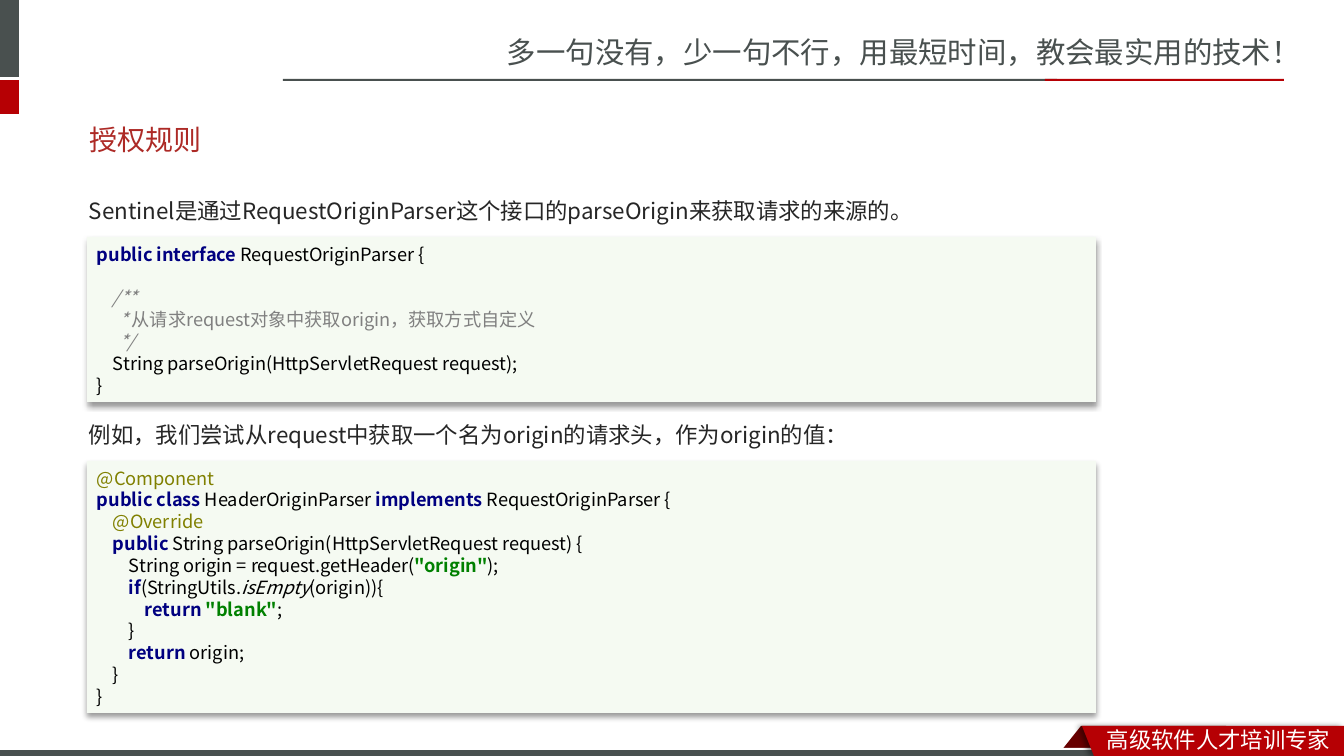
from lxml.etree import SubElement
from pptx import Presentation
from pptx.dml.color import RGBColor
from pptx.enum.shapes import MSO_SHAPE as Preset
from pptx.enum.text import MSO_ANCHOR as Anchor, PP_ALIGN as Align
from pptx.oxml.ns import qn
from pptx.util import Emu, Pt

FONT = "Noto Sans CJK SC"
WHITE = RGBColor(0xFF, 0xFF, 0xFF)
BLACK = RGBColor(0, 0, 0)
SLATE = RGBColor(0x49, 0x50, 0x4F)
RED = RGBColor(0xB6, 0x00, 0x04)
DARK_RED = RGBColor(0x68, 0x00, 0x00)
TITLE_RED = RGBColor(0xAD, 0x2A, 0x26)
INK = RGBColor(0x26, 0x26, 0x26)
CODE_GREEN = RGBColor(0xF5, 0xFA, 0xF2)
NAVY = RGBColor(0x00, 0x00, 0x80)
GRAY = RGBColor(0x80, 0x80, 0x80)
OLIVE = RGBColor(0x80, 0x80, 0x00)
GREEN = RGBColor(0x00, 0x80, 0x00)

CODE_STYLES = {
    "plain": (BLACK, False, False),
    "keyword": (NAVY, True, False),
    "string": (GREEN, True, False),
    "annotation": (OLIVE, False, False),
    "comment": (GRAY, False, False),
    "mark": (GRAY, False, True),
    "static": (BLACK, False, True),
}
INDENT = 16
LINE_PITCH = 15.6

INTERFACE_CODE = [
    (0, [("keyword", "public interface "), ("plain", "RequestOriginParser {")]),
    (1, [("mark", "/**")]),
    (1.4, [("mark", "* "), ("comment", "从请求request对象中获取origin，获取方式自定义")]),
    (1.4, [("mark", "*/")]),
    (1, [("plain", "String parseOrigin(HttpServletRequest request);")]),
    (0, [("plain", "}")]),
]
CLASS_CODE = [
    (0, [("annotation", "@Component")]),
    (0, [("keyword", "public class "), ("plain", "HeaderOriginParser "),
         ("keyword", "implements "), ("plain", "RequestOriginParser {")]),
    (1, [("annotation", "@Override")]),
    (1, [("keyword", "public "),
         ("plain", "String parseOrigin(HttpServletRequest request) {")]),
    (2, [("plain", "String origin = request.getHeader("),
         ("string", "\"origin\""), ("plain", ");")]),
    (2, [("keyword", "if"), ("plain", "(StringUtils."),
         ("static", "isEmpty"), ("plain", "(origin)){")]),
    (3, [("keyword", "return "), ("string", "\"blank\""), ("plain", ";")]),
    (2, [("plain", "}")]),
    (2, [("keyword", "return "), ("plain", "origin;")]),
    (1, [("plain", "}")]),
    (0, [("plain", "}")]),
]


def px(length):
    return Emu(round(length * 914400 / 100.8))


def add_run(paragraph, text, size, color, bold=False, italic=False):
    run = paragraph.add_run()
    run.text = text
    font = run.font
    font.name, font.size, font.bold, font.italic = FONT, Pt(size), bold, italic
    font.color.rgb = color
    SubElement(font._element, qn("a:ea"), typeface=FONT)


def paint(shape, color):
    shape.shadow.inherit = False
    shape.fill.solid()
    shape.fill.fore_color.rgb = color
    shape.line.fill.background()
    return shape


def add_block(slide, box, color, preset=Preset.RECTANGLE):
    return paint(slide.shapes.add_shape(preset, *map(px, box)), color)


def cast_shadow(shape, degrees):
    effects = shape._element.spPr.find(qn("a:effectLst"))
    shadow = SubElement(effects, qn("a:outerShdw"), blurRad=str(Pt(4)),
                        dist=str(Pt(3)), dir=str(degrees * 60000), rotWithShape="0")
    tint = SubElement(shadow, qn("a:srgbClr"), val="000000")
    SubElement(tint, qn("a:alpha"), val="40000")


def add_label(slide, box, text, size, color):
    frame = slide.shapes.add_textbox(*map(px, box)).text_frame
    frame.word_wrap = True
    frame.vertical_anchor = Anchor.MIDDLE
    add_run(frame.paragraphs[0], text, size, color)


def add_header(slide, box):
    left, top, width, height = box
    add_label(slide, (left + 497, top + 28, width - 497, 47),
              "多一句没有，少一句不行，用最短时间，教会最实用的技术！", 21, SLATE)
    add_block(slide, (left, top, 19, 77), SLATE)
    add_block(slide, (left, top + 80, 19, height - 80), RED)
    add_block(slide, (left + 283, top + 79, 774, 2), SLATE)
    add_block(slide, (left + 1045, top + 79, 239, 2), RED)


def add_footer(slide, box):
    left, top, width, height = box
    right, bottom = left + width, top + height
    fold = add_block(slide, (left + 1057, top, 169, 30), DARK_RED, Preset.PARALLELOGRAM)
    fold.adjustments[0] = 0.8
    add_block(slide, (left, bottom - 8, width, 8), WHITE)
    add_block(slide, (left, bottom - 6, 1108, 6), SLATE)
    outline = slide.shapes.build_freeform(px(left + 1082), px(top), scale=1.0)
    corners = [(right, top), (right, bottom), (left + 1094, bottom)]
    outline.add_line_segments([(px(x), px(y)) for x, y in corners], close=True)
    ribbon = paint(outline.convert_to_shape(), RED)
    cast_shadow(ribbon, 180)
    add_label(slide, (left + 1097, top - 5, width - 1097, 37),
              "高级软件人才培训专家", 16, WHITE)


def add_title(slide, box):
    title = slide.shapes.title
    title.left, title.top, title.width, title.height = map(px, box)
    frame = title.text_frame
    frame.vertical_anchor = Anchor.MIDDLE
    heading = frame.paragraphs[0]
    heading.alignment = Align.LEFT
    add_run(heading, "授权规则", 20, TITLE_RED)


def add_code(slide, box, lines, gap_before=None):
    panel = add_block(slide, box, CODE_GREEN)
    cast_shadow(panel, 90)
    frame = panel.text_frame
    frame.word_wrap = True
    frame.vertical_anchor = Anchor.MIDDLE
    for number, (depth, pieces) in enumerate(lines):
        line = frame.add_paragraph() if number else frame.paragraphs[0]
        line.alignment = Align.LEFT
        line.line_spacing = Pt(LINE_PITCH)
        if number == gap_before:
            line.space_before = Pt(LINE_PITCH)
        line._p.get_or_add_pPr().set("marL", str(px(depth * INDENT)))
        for style, text in pieces:
            add_run(line, text, 13, *CODE_STYLES[style])


def add_example(slide, box, intro, lines, gap_before=None):
    left, top, width, height = box
    add_label(slide, (left, top, 1179, 40), intro, 16, INK)
    add_code(slide, (left + 8, top + 46, width - 8, height - 46), lines, gap_before)


def main():
    deck = Presentation()
    deck.slide_width, deck.slide_height = px(1344), px(756)
    slide = deck.slides.add_slide(deck.slide_layouts[5])
    add_header(slide, (0, 0, 1344, 114))
    add_footer(slide, (0, 726, 1344, 30))
    add_title(slide, (79, 111, 1179, 57))
    add_example(slide, (79, 191, 1017, 211),
                "Sentinel是通过RequestOriginParser这个接口的parseOrigin来获取请求的来源的。",
                INTERFACE_CODE, gap_before=1)
    add_example(slide, (79, 415, 1017, 298),
                "例如，我们尝试从request中获取一个名为origin的请求头，作为origin的值：",
                CLASS_CODE)
    deck.save("out.pptx")


if __name__ == "__main__":
    main()
